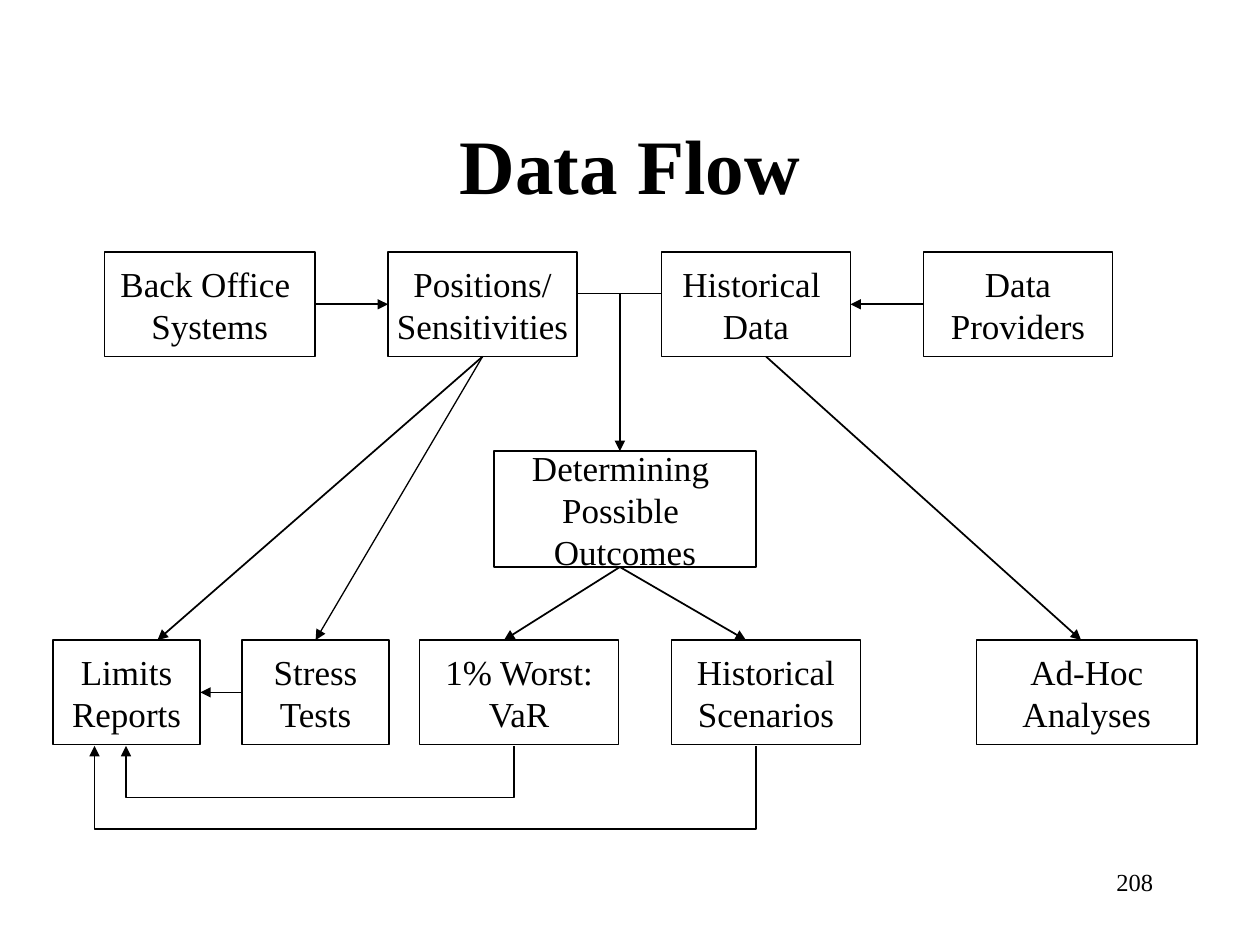
from pptx import Presentation
from pptx.dml.color import RGBColor
from pptx.enum.shapes import MSO_CONNECTOR, MSO_SHAPE
from pptx.enum.text import MSO_ANCHOR as Anchor, PP_ALIGN as Align
from pptx.oxml.ns import qn
from pptx.util import Inches, Pt
from lxml.etree import SubElement

COLORS = {"ink": "000000", "paper": "FFFFFF"}
FONT = "Times New Roman"
TOP, LEFT, BOTTOM, RIGHT = range(4)


class FlowPage:
    """Style of the diagram and the slide it is drawn on."""

    def __init__(self, page):
        self.shapes = page.shapes
        self.ink = RGBColor.from_string(COLORS["ink"])
        self.paper = RGBColor.from_string(COLORS["paper"])

    def fill_text(self, frame, lines, size, align=Align.CENTER, bold=False):
        for index, line in enumerate(lines):
            para = frame.paragraphs[0] if index == 0 else frame.add_paragraph()
            para.text = line
            para.alignment = align
            font = para.font
            font.name, font.size, font.bold = FONT, Pt(size), bold
            font.color.rgb = self.ink

    def text(self, line, left, top, width, height, size, anchor, **style):
        box = self.shapes.add_textbox(*map(Inches, (left, top, width, height)))
        box.text_frame.word_wrap = True
        box.text_frame.vertical_anchor = anchor
        self.fill_text(box.text_frame, [line], size, **style)

    def box(self, lines, left, top, width, height=0.83):
        box = self.shapes.add_shape(
            MSO_SHAPE.RECTANGLE, *map(Inches, (left, top, width, height)))
        box.shadow.inherit = False
        box.fill.solid()
        box.fill.fore_color.rgb = self.paper
        self.stroke(box, 1)
        box.text_frame.word_wrap = False
        box.text_frame.vertical_anchor = Anchor.MIDDLE
        self.fill_text(box.text_frame, lines, 20)
        return box

    def stroke(self, shape, width, arrow=False):
        shape.line.color.rgb = self.ink
        shape.line.width = Pt(width)
        if arrow:
            outline = shape._element.spPr.find(qn("a:ln"))
            SubElement(outline, qn("a:tailEnd"), type="triangle")

    def line(self, start, end, width=1, arrow=True):
        """Each end is a point, or a (box, side) pair to join."""
        joined = [not isinstance(stop[0], (int, float)) for stop in (start, end)]
        points = [(0, 0) if join else stop for join, stop in zip(joined, (start, end))]
        line = self.shapes.add_connector(
            MSO_CONNECTOR.STRAIGHT, *(Inches(v) for point in points for v in point))
        if joined[0]:
            line.begin_connect(*start)
        if joined[1]:
            line.end_connect(*end)
        self.stroke(line, width, arrow)
        SubElement(line._element.spPr, qn("a:effectLst"))

    def elbow(self, points):
        start, *rest = [(Inches(x), Inches(y)) for x, y in points]
        builder = self.shapes.build_freeform(*start)
        builder.add_line_segments(rest, close=False)
        route = builder.convert_to_shape()
        route.shadow.inherit = False
        route.fill.background()
        self.stroke(route, 0.75, arrow=True)


deck = Presentation()
deck.slide_width, deck.slide_height = Inches(10), Inches(7.5)
flow = FlowPage(deck.slides.add_slide(deck.slide_layouts[6]))

# Title and page number
flow.text("Data Flow", 0.75, 0.67, 8.5, 1.25, 44, Anchor.MIDDLE, bold=True)
flow.text("208", 7.17, 6.83, 2.08, 0.5, 14, Anchor.TOP, align=Align.RIGHT)

# Sources in the top row
SOURCE_TOP, RESULT_TOP = 2, 5.08
SOURCE_BOTTOM, RESULT_BOTTOM = 2.83, 5.92
office = flow.box(["Back Office ", "Systems"], 0.83, SOURCE_TOP, 1.67)
positions = flow.box(["Positions/", "Sensitivities"], 3.08, SOURCE_TOP, 1.5)
history = flow.box(["Historical ", "Data"], 5.25, SOURCE_TOP, 1.5)
providers = flow.box(["Data", "Providers"], 7.33, SOURCE_TOP, 1.5)

# Processing step
flow.box(["Determining ", "Possible ", "Outcomes"], 3.92, 3.58, 2.08, 0.92)

# Results in the bottom row
limits = flow.box(["Limits", "Reports"], 0.42, RESULT_TOP, 1.17)
stress = flow.box(["Stress", "Tests"], 1.92, RESULT_TOP, 1.17)
flow.box(["1% Worst:", "VaR"], 3.33, RESULT_TOP, 1.58)
flow.box(["Historical", "Scenarios"], 5.33, RESULT_TOP, 1.5)
flow.box(["Ad-Hoc", "Analyses"], 7.75, RESULT_TOP, 1.75)

# Flows between the sources and into the processing step
flow.line((office, RIGHT), (positions, LEFT))
flow.line((providers, LEFT), (history, RIGHT))
flow.line((4.58, 2.33), (5.25, 2.33), arrow=False)
flow.line((4.92, 2.33), (4.92, 3.58))

# Flows down to the results
flow.line((positions, BOTTOM), (1.25, RESULT_TOP))
flow.line((positions, BOTTOM), (stress, TOP), width=0.75)
flow.line((6.08, SOURCE_BOTTOM), (8.58, RESULT_TOP))
for target in (4, 5.92):
    flow.line((4.92, 4.5), (target, RESULT_TOP))

# Flows back to the limits reports
flow.line((stress, LEFT), (limits, RIGHT), width=0.75)
for start, end, depth in ((4.08, 1, 6.33), (6, 0.75, 6.58)):
    flow.elbow([(start, RESULT_BOTTOM), (start, depth),
                (end, depth), (end, RESULT_BOTTOM)])

deck.save("out.pptx")
